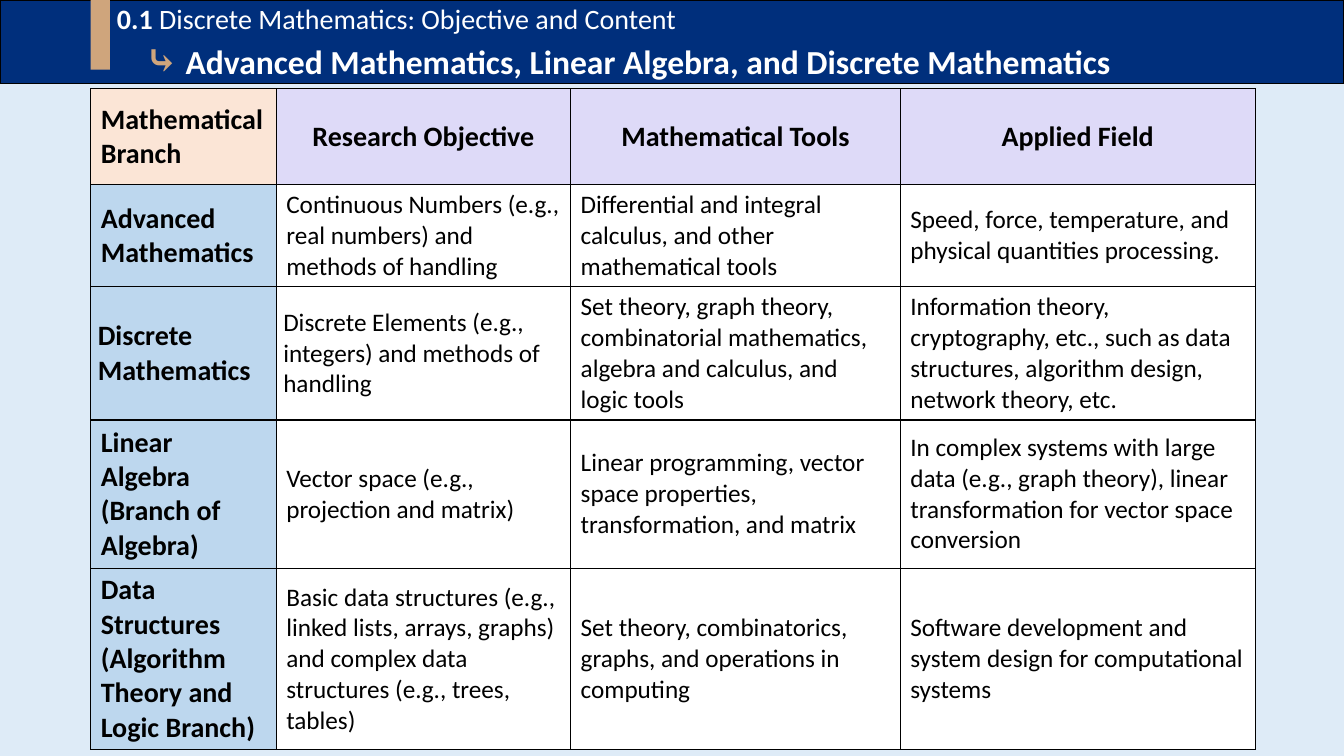
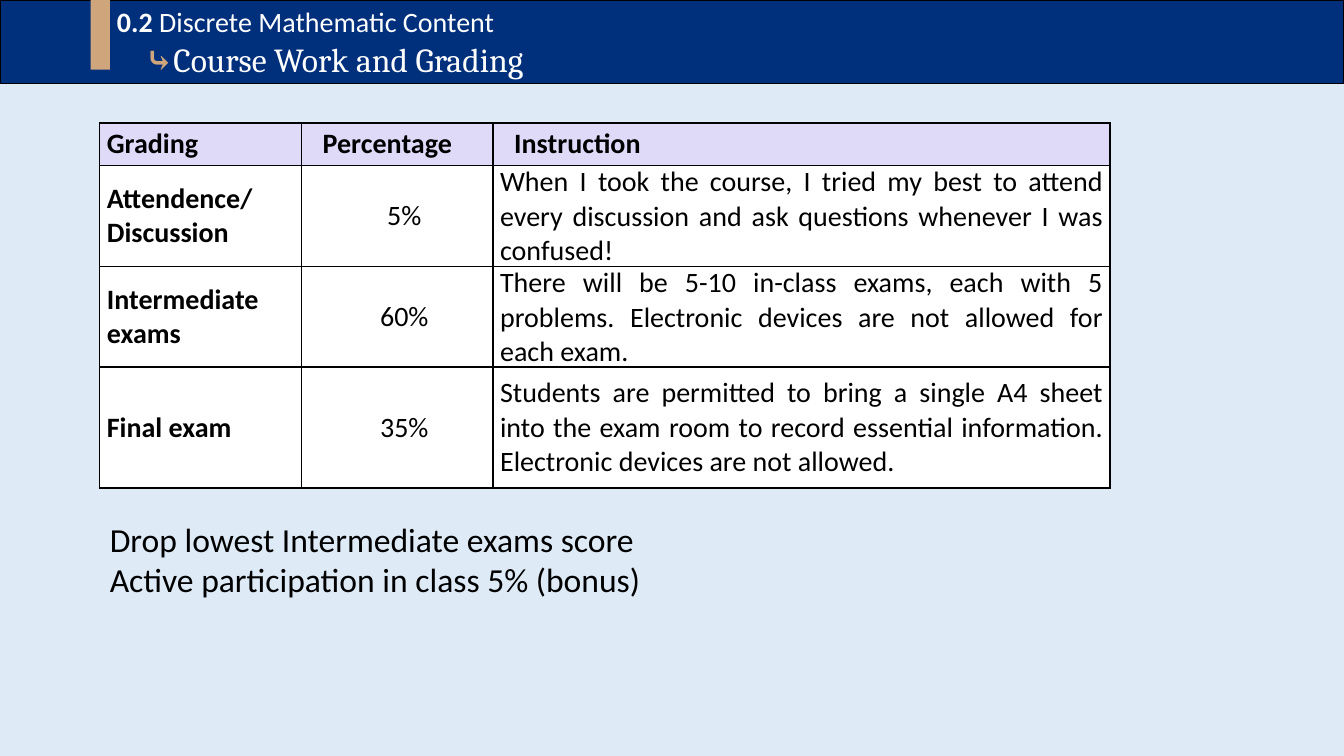
from lxml import etree
from pptx import Presentation
from pptx.dml.color import RGBColor
from pptx.enum import shapes, text
from pptx.oxml import ns
from pptx.util import Inches, Pt

COLORS = {
    "page": "DEEBF7", "band": "002F7C", "accent": "CFA57C", "white": "FFFFFF",
    "black": "000000", "corner": "FBE5D6", "header": "DEDAF8", "branch": "BDD7EE",
}
BODY_FONT = "Calibri"
SLIDE_WIDTH, SLIDE_HEIGHT = 13.33, 7.5
BAND_BOX = (0, 0, SLIDE_WIDTH, 0.83)
TIGHT = (0.07, 0)
LEFT, CENTER, JUSTIFY = (
    text.PP_ALIGN.LEFT, text.PP_ALIGN.CENTER, text.PP_ALIGN.JUSTIFY)

BRANCHES = [
    ["Mathematical Branch", "Research Objective", "Mathematical Tools", "Applied Field"],
    ["Advanced Mathematics",
     "Continuous Numbers (e.g., real numbers) and methods of handling",
     "Differential and integral calculus, and other mathematical tools",
     "Speed, force, temperature, and physical quantities processing."],
    ["Discrete Mathematics",
     "Discrete Elements (e.g., integers) and methods of handling",
     "Set theory, graph theory, combinatorial mathematics, algebra and calculus, "
     "and logic tools",
     "Information theory, cryptography, etc., such as data structures, "
     "algorithm design, network theory, etc."],
    ["Linear Algebra (Branch of Algebra)",
     "Vector space (e.g., projection and matrix)",
     "Linear programming, vector space properties, transformation, and matrix",
     "In complex systems with large data (e.g., graph theory), linear "
     "transformation for vector space conversion"],
    ["Data Structures (Algorithm Theory and Logic Branch)",
     "Basic data structures (e.g., linked lists, arrays, graphs) and complex "
     "data structures (e.g., trees, tables)",
     "Set theory, combinatorics, graphs, and operations in computing",
     "Software development and system design for computational systems"],
]
GRADING = [
    ["Grading", "Percentage", "Instruction"],
    ["Attendence/Discussion", "5%",
     "When I took the course, I tried my best to attend every discussion and ask "
     "questions whenever I was confused!"],
    ["Intermediate exams", "60%",
     "There will be 5-10 in-class exams, each with 5 problems. Electronic devices "
     "are not allowed for each exam."],
    ["Final exam", "35%",
     "Students are permitted to bring a single A4 sheet into the exam room to record "
     "essential information. Electronic devices are not allowed."],
]


def rgb(color):
    return RGBColor.from_string(COLORS[color])


def paint(target, color):
    target.fill.solid()
    target.fill.fore_color.rgb = rgb(color)


def place(shape, box):
    for side, length in zip(("left", "top", "width", "height"), box):
        setattr(shape, side, Inches(length))


def add_run(paragraph, words, color="black", **style):
    run = paragraph.add_run()
    run.text = words
    run.font.color.rgb = rgb(color)
    for attribute, value in {"name": BODY_FONT, "size": Pt(20), "bold": False, **style}.items():
        setattr(run.font, attribute, value)


def indent(paragraph, margin, first_line=0):
    properties = paragraph._p.get_or_add_pPr()
    properties.set("marL", str(Inches(margin)))
    properties.set("indent", str(Inches(first_line)))


def add_borders(cell):
    properties = cell._tc.get_or_add_tcPr()
    for edge in ("a:lnL", "a:lnR", "a:lnT", "a:lnB"):
        line = etree.SubElement(properties, ns.qn(edge), w=str(Pt(1)))
        fill = etree.SubElement(line, ns.qn("a:solidFill"))
        etree.SubElement(fill, ns.qn("a:srgbClr"), val=COLORS["black"])


def add_heading(slide, box, number, section, topic, arrow_style, topic_style):
    """Turn the title into the dark band with its section, topic and accent bar."""
    left, top, width, height = box
    title = slide.shapes.title
    place(title, box)
    paint(title, "band")
    title.line.color.rgb = rgb("black")
    title.line.width = Pt(1)

    frame = title.text_frame
    frame.word_wrap = True
    frame.auto_size = text.MSO_AUTO_SIZE.NONE
    frame.vertical_anchor = text.MSO_ANCHOR.MIDDLE
    frame.margin_left = Inches(1.16)
    section_line, topic_line = frame.paragraphs[0], frame.add_paragraph()
    for line, margin in ((section_line, 0), (topic_line, 0.28)):
        line.alignment = LEFT
        indent(line, margin)
    add_run(section_line, number + " ", "white", bold=True)
    add_run(section_line, section, "white")
    add_run(topic_line, "⤷", "accent", bold=True, **arrow_style)
    add_run(topic_line, topic, "white", size=Pt(24), **topic_style)

    bar = slide.shapes.add_shape(
        shapes.MSO_SHAPE.RECTANGLE, Inches(left + 0.9), Inches(top),
        Inches(0.19), Inches(height - 0.14))
    bar.shadow.inherit = False
    paint(bar, "accent")
    bar.line.fill.background()


def add_grid(slide, corner, widths, heights, rows, cell_format):
    """Draw a bordered table; cell_format(row, column) gives each cell's look."""
    left, top = corner
    table = slide.shapes.add_table(
        len(rows), len(widths), Inches(left), Inches(top),
        Inches(sum(widths)), Inches(sum(heights))).table
    table.first_row = table.horz_banding = False
    for column, width in zip(table.columns, widths):
        column.width = Inches(width)
    for row, height in zip(table.rows, heights):
        row.height = Inches(height)

    for r, row in enumerate(rows):
        for c, words in enumerate(row):
            cell, look = table.cell(r, c), cell_format(r, c)
            add_borders(cell)
            paint(cell, look["fill"])
            cell.vertical_anchor = text.MSO_ANCHOR.MIDDLE
            side, end = look["margins"]
            cell.margin_left = cell.margin_right = Inches(side)
            cell.margin_top = cell.margin_bottom = Inches(end)
            paragraph = cell.text_frame.paragraphs[0]
            paragraph.alignment = look["align"]
            indent(paragraph, 0, look["first_line"])
            add_run(paragraph, words, size=Pt(look["size"]), bold=look["bold"])


def branch_format(row, column):
    label = row == 0 or column == 0
    if row == 0:
        fill = "header" if column else "corner"
    else:
        fill = "white" if column else "branch"
    return {
        "fill": fill, "bold": label, "size": 20 if label else 18, "first_line": 0,
        "align": CENTER if row == 0 and column else LEFT,
        "margins": TIGHT if row == 2 and column < 2 else (0.1, 0.05),
    }


def grading_format(row, column):
    indented = column == 1 or (row == 0 and column == 2)
    return {
        "fill": "white" if row else "header", "bold": row == 0 or column == 0,
        "size": 20, "first_line": 0.14 if indented else 0,
        "align": CENTER if row and column == 1 else JUSTIFY, "margins": TIGHT,
    }


def add_notice(slide, box, lines):
    notice = slide.shapes.add_textbox(*map(Inches, box))
    frame = notice.text_frame
    frame.word_wrap = True
    for i, line in enumerate(lines):
        paragraph = frame.add_paragraph() if i else frame.paragraphs[0]
        add_run(paragraph, line, size=Pt(24))


def build_branches(slide):
    add_heading(slide, BAND_BOX, "0.1", "Discrete Mathematics: Objective and Content",
                " Advanced Mathematics, Linear Algebra, and Discrete Mathematics",
                {"name": "Times New Roman", "size": Pt(28)}, {"bold": True})
    add_grid(slide, (0.9, 0.88), [1.84, 2.92, 3.27, 3.52],
             [0.95, 1.01, 1.32, 1.47, 1.79], BRANCHES, branch_format)


def build_grading(slide):
    add_heading(slide, BAND_BOX, "0.2", "Discrete Mathematic Content",
                "Course Work and Grading", {"size": Pt(24)}, {"name": "Cambria"})
    add_notice(slide, (0.99, 5.1, 6.82, 0.91),
               ["Drop lowest Intermediate exams score",
                "Active participation in class 5% (bonus)"])
    add_grid(slide, (0.99, 1.22), [2, 1.9, 6.12], [0.42, 1, 1, 1.2],
             GRADING, grading_format)


def main():
    deck = Presentation()
    deck.slide_width, deck.slide_height = Inches(SLIDE_WIDTH), Inches(SLIDE_HEIGHT)
    paint(deck.slide_master.background, "page")
    title_only = deck.slide_layouts[5]
    for build in (build_branches, build_grading):
        build(deck.slides.add_slide(title_only))
    deck.save("out.pptx")


if __name__ == "__main__":
    main()
